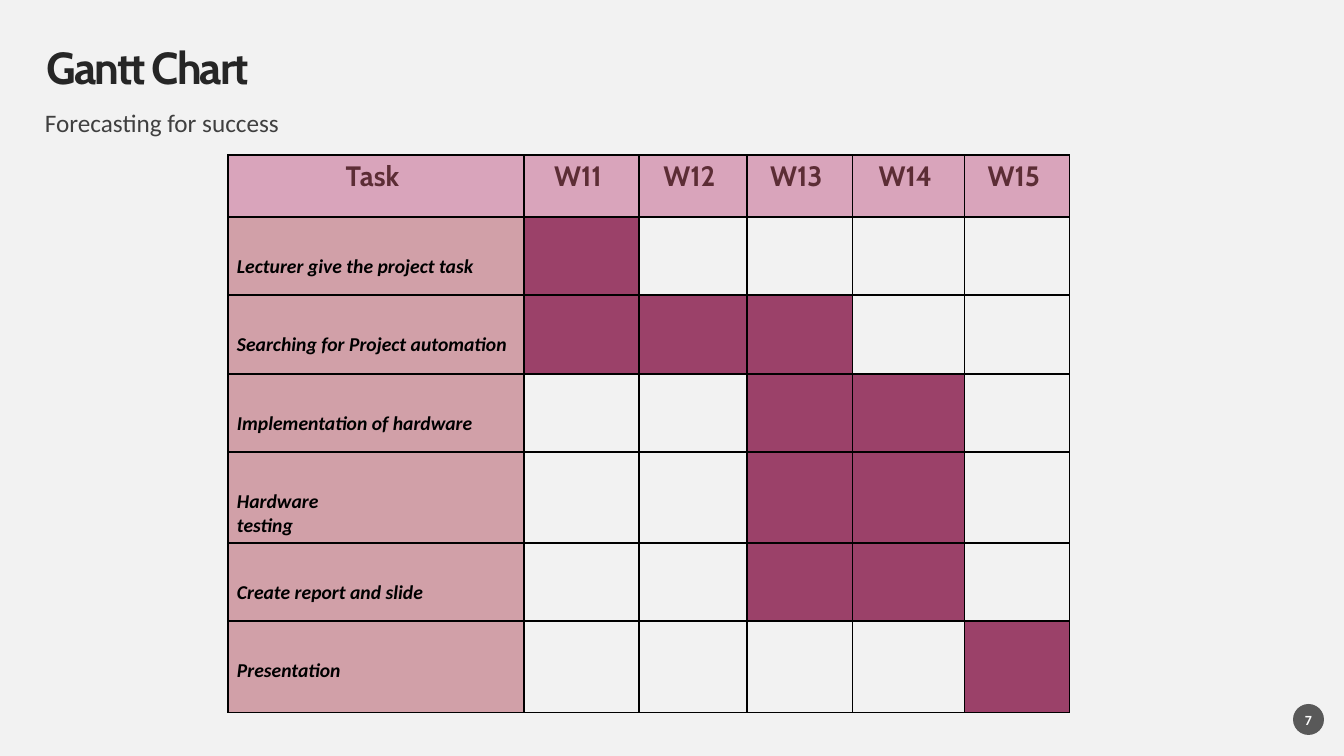
from pptx import Presentation
from pptx import util as u
from pptx.dml.color import RGBColor
from pptx.enum import shapes, text
from pptx.oxml import parse_xml
from pptx.oxml.ns import nsdecls, qn

PAPER = RGBColor(0xF2, 0xF2, 0xF2)
INK = RGBColor(0x26, 0x26, 0x26)
SUBTITLE_GREY = RGBColor(0x40, 0x40, 0x40)
BADGE_GREY = RGBColor(0x59, 0x59, 0x59)
WHITE = RGBColor(0xFF, 0xFF, 0xFF)
BLACK = RGBColor(0x00, 0x00, 0x00)
HEADER_PINK = RGBColor(0xD9, 0xA4, 0xBB)
HEADER_TEXT = RGBColor(0x5C, 0x2D, 0x35)
TASK_PINK = RGBColor(0xD1, 0xA0, 0xA8)
BAR_PLUM = RGBColor(0x9B, 0x41, 0x69)

HEADINGS = ["Task", "W11", "W12", "W13", "W14", "W15"]
# Task lines, then the first and last week of its bar
TASKS = [
    (["Lecturer give the project task"], 1, 1),
    (["Searching for Project automation"], 1, 3),
    (["Implementation of hardware"], 3, 4),
    (["Hardware", "testing"], 3, 4),
    (["Create report and slide"], 3, 4),
    (["Presentation"], 5, 5),
]
COLUMN_WIDTHS = [296, 115, 108, 106, 112, 105]
ROW_HEIGHTS = [62, 78, 79, 78, 91, 78, 92]


def px(length):
    return u.Emu(round(length * 914400 / 100.8))


class SlideBuilder:
    heading_font = "Cabin"
    body_font = "Calibri"

    def __init__(self, deck):
        self.page = deck.slides.add_slide(deck.slide_layouts[6])
        self.page.background.fill.solid()
        self.page.background.fill.fore_color.rgb = PAPER

    def set_text(self, frame, lines, font, size, color, bold=False, italic=False,
                 align=text.PP_ALIGN.LEFT, line_spacing=1.0):
        frame.word_wrap = True
        for index, line in enumerate(lines):
            para = frame.add_paragraph() if index else frame.paragraphs[0]
            para.text = line
            para.alignment = align
            para.line_spacing = line_spacing
            para.font.name = font
            para.font.size = u.Pt(size)
            para.font.color.rgb = color
            para.font.bold = bold
            para.font.italic = italic

    def clear_margins(self, frame):
        frame.margin_left = frame.margin_top = 0
        frame.margin_right = frame.margin_bottom = 0

    def text_box(self, x, y, w, h, line, anchor, **style):
        box = self.page.shapes.add_textbox(px(x), px(y), px(w), px(h))
        frame = box.text_frame
        self.clear_margins(frame)
        frame.vertical_anchor = anchor
        self.set_text(frame, [line], line_spacing=0.9, **style)
        return frame.paragraphs[0]

    def tighten(self, para, points):
        para._p.pPr.find(qn("a:defRPr")).set("spc", str(round(points * 100)))

    def badge(self, x, y, size, label):
        disc = self.page.shapes.add_shape(
            shapes.MSO_SHAPE.OVAL, px(x), px(y), px(size), px(size))
        disc.shadow.inherit = False
        disc.fill.solid()
        disc.fill.fore_color.rgb = BADGE_GREY
        disc.line.fill.background()
        self.clear_margins(disc.text_frame)
        disc.text_frame.vertical_anchor = text.MSO_ANCHOR.MIDDLE
        self.set_text(disc.text_frame, [label], self.body_font, 10, WHITE,
                      bold=True, align=text.PP_ALIGN.CENTER)

    def table(self, x, y, widths, heights):
        table = self.page.shapes.add_table(
            len(heights), len(widths), px(x), px(y),
            px(sum(widths)), px(sum(heights))).table
        table.first_row = table.horz_banding = False
        for column, width in zip(table.columns, widths):
            column.width = px(width)
        for row, height in zip(table.rows, heights):
            row.height = px(height)
        for cell in table.iter_cells():
            self.border(cell)
            cell.fill.background()
        return table

    def border(self, cell):
        properties = cell._tc.get_or_add_tcPr()
        for side in ("lnL", "lnR", "lnT", "lnB"):
            properties.append(parse_xml(
                f'<a:{side} {nsdecls("a")} w="{u.Pt(1)}"><a:solidFill>'
                f'<a:srgbClr val="{BLACK}"/></a:solidFill></a:{side}>'))

    def cell(self, cell, fill, lines=(), margins=(9, 4, 9, 4), **style):
        cell.fill.solid()
        cell.fill.fore_color.rgb = fill
        (cell.margin_left, cell.margin_top,
         cell.margin_right, cell.margin_bottom) = map(px, margins)
        if lines:
            self.set_text(cell.text_frame, lines, **style)


def main():
    deck = Presentation()
    deck.slide_width, deck.slide_height = px(1344), px(756)
    slide = SlideBuilder(deck)

    # Title and subtitle
    title = slide.text_box(47, 47, 1249, 47, "Gantt Chart", text.MSO_ANCHOR.MIDDLE,
                           font=slide.heading_font, size=32, color=INK, bold=True)
    slide.tighten(title, -1.5)
    slide.text_box(45, 111, 1118, 28, "Forecasting for success", text.MSO_ANCHOR.TOP,
                   font=slide.body_font, size=18, color=SUBTITLE_GREY)

    # Page number
    slide.badge(1293, 704, 31, "7")

    # Gantt table: header row, then one row per task
    gantt = slide.table(228, 155, COLUMN_WIDTHS, ROW_HEIGHTS)
    for column, heading in enumerate(HEADINGS):
        slide.cell(gantt.cell(0, column), HEADER_PINK, [heading],
                   margins=(9, 4, 16, 4), font=slide.heading_font, size=20,
                   color=HEADER_TEXT, bold=True, align=text.PP_ALIGN.CENTER)
    for row, (lines, first, last) in enumerate(TASKS, start=1):
        slide.cell(gantt.cell(row, 0), TASK_PINK, lines, margins=(9, 38, 9, 4),
                   font=slide.body_font, size=14, color=BLACK,
                   bold=True, italic=True)
        for week in range(first, last + 1):
            slide.cell(gantt.cell(row, week), BAR_PLUM)

    deck.save("out.pptx")


if __name__ == "__main__":
    main()
